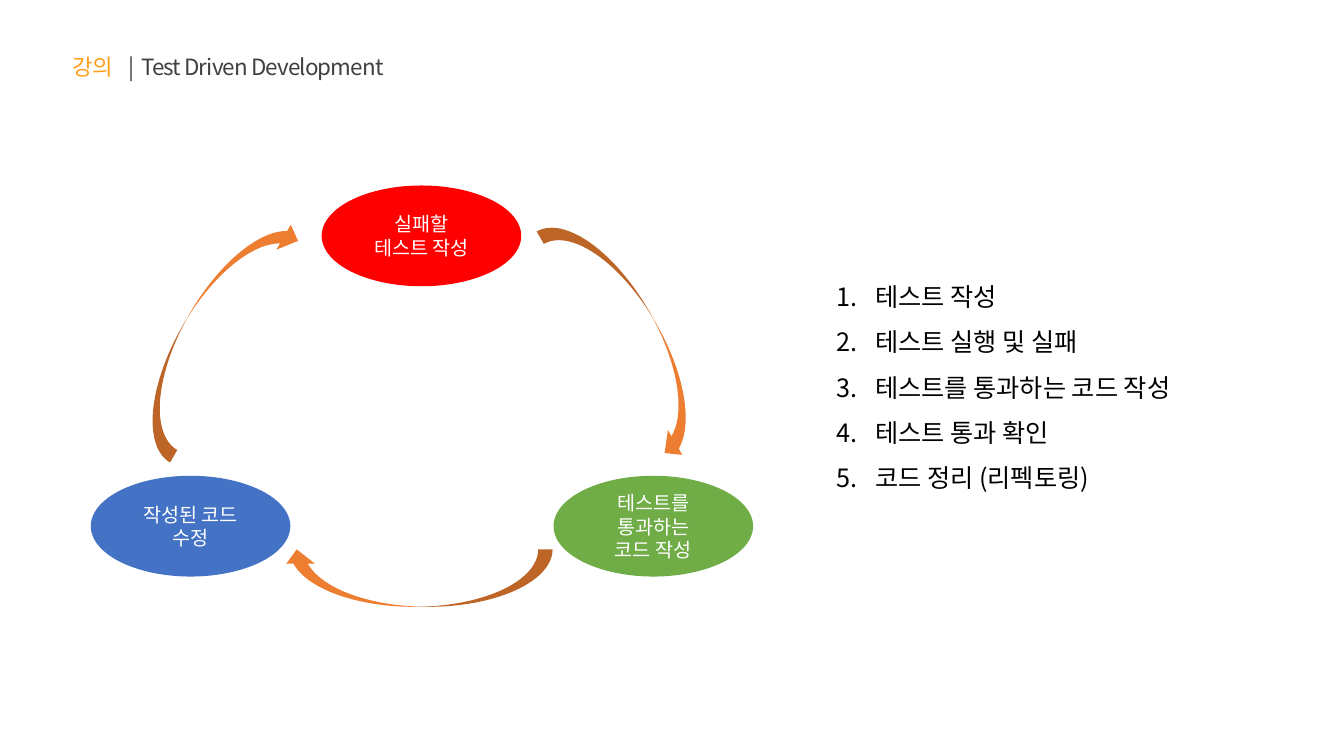
import pptx
import pptx.dml.color
import pptx.enum.shapes
import pptx.enum.text
import pptx.oxml.ns
import pptx.util
from lxml import etree

RGBColor = pptx.dml.color.RGBColor
Inches = pptx.util.Inches
Shape = pptx.enum.shapes.MSO_SHAPE
Align = pptx.enum.text.PP_ALIGN
Anchor = pptx.enum.text.MSO_ANCHOR
AutoSize = pptx.enum.text.MSO_AUTO_SIZE
qn = pptx.oxml.ns.qn

AMBER = RGBColor(0xFF, 0x9E, 0x1B)
CHARCOAL = RGBColor(0x40, 0x40, 0x40)
RED = RGBColor(0xFF, 0x00, 0x00)
GREEN = RGBColor(0x70, 0xAD, 0x47)
BLUE = RGBColor(0x44, 0x72, 0xC4)
ORANGE = RGBColor(0xED, 0x7D, 0x31)
WHITE = RGBColor(0xFF, 0xFF, 0xFF)
BLACK = RGBColor(0x00, 0x00, 0x00)

FONT = "Noto Sans CJK KR"
SLIDE_WIDTH = Inches(13.33)
SLIDE_HEIGHT = Inches(7.5)

STAGE_SIZE = (14.85, 13.33)
ARROW_SIZE = (20.11, 7.6)
STAGES = [
    ((31.36, 31.2), RED, ["실패할", "테스트 작성"]),
    ((48.61, 69.6), GREEN, ["테스트를", "통과하는", "코드 작성"]),
    ((14.18, 69.6), BLUE, ["작성된 코드 수정"]),
]
ARROW_CENTRES = [(46.81, 44.2), (31.06, 76.47), (15.83, 43.8)]
STEPS = [
    "테스트 작성",
    "테스트 실행 및 실패",
    "테스트를 통과하는 코드 작성",
    "테스트 통과 확인",
    "코드 정리 (리펙토링)",
]


def area(centre, size):
    width = round(SLIDE_WIDTH * size[0] / 100)
    height = round(SLIDE_HEIGHT * size[1] / 100)
    left = round(SLIDE_WIDTH * centre[0] / 100 - width / 2)
    top = round(SLIDE_HEIGHT * centre[1] / 100 - height / 2)
    return left, top, width, height


def add_span(para, text, size, color):
    span = para.add_run()
    span.text = text
    span.font.name = FONT
    span.font.size = pptx.util.Pt(size)
    span.font.color.rgb = color
    properties = span.font._element
    etree.SubElement(properties, qn("a:ea"), typeface=FONT)
    return properties


def add_paras(frame, lines):
    for index, line in enumerate(lines):
        yield (frame.add_paragraph() if index else frame.paragraphs[0]), line


def add_heading(page):
    title = page.shapes.title
    title.left, title.top, title.width, title.height = area((23.97, 8.87), (38.63, 4.93))
    frame = title.text_frame
    frame.word_wrap = True
    frame.auto_size = AutoSize.SHAPE_TO_FIT_TEXT
    frame.vertical_anchor = Anchor.TOP
    para = frame.paragraphs[0]
    para.alignment = Align.LEFT
    tabs = etree.SubElement(para._p.get_or_add_pPr(), qn("a:tabLst"))
    for position in (0.55, 0.68):
        etree.SubElement(tabs, qn("a:tab"), pos=str(Inches(position)), algn="l")
    for text, color in [("강의\t", AMBER), ("|\tTest Driven Development", CHARCOAL)]:
        add_span(para, text, 16, color).set("spc", "-60")


def add_filled_shape(page, kind, centre, size, color):
    shape = page.shapes.add_shape(kind, *area(centre, size))
    shape.shadow.inherit = False
    shape.fill.solid()
    shape.fill.fore_color.rgb = color
    shape.line.fill.background()
    return shape


def add_stage(page, centre, color, lines):
    stage = add_filled_shape(page, Shape.OVAL, centre, STAGE_SIZE, color)
    frame = stage.text_frame
    frame.word_wrap = True
    frame.vertical_anchor = Anchor.MIDDLE
    for para, line in add_paras(frame, lines):
        para.alignment = Align.CENTER
        add_span(para, line, 14, WHITE)


def add_steps(page):
    box = page.shapes.add_textbox(*area((76, 49.93), (28.96, 30.8)))
    frame = box.text_frame
    frame.word_wrap = True
    frame.auto_size = AutoSize.SHAPE_TO_FIT_TEXT
    for para, step in add_paras(frame, STEPS):
        para.line_spacing = 1.5
        properties = para._p.get_or_add_pPr()
        properties.set("marL", str(Inches(0.38)))
        properties.set("indent", str(Inches(-0.38)))
        etree.SubElement(properties, qn("a:buFont"), typeface="+mj-lt")
        etree.SubElement(properties, qn("a:buAutoNum"), type="arabicPeriod")
        add_span(para, step, 18, BLACK)


def main():
    deck = pptx.Presentation()
    deck.slide_width = SLIDE_WIDTH
    deck.slide_height = SLIDE_HEIGHT
    page = deck.slides.add_slide(deck.slide_layouts.get_by_name("Title Only"))
    add_heading(page)
    for centre, color, lines in STAGES:
        add_stage(page, centre, color, lines)
    for index, centre in enumerate(ARROW_CENTRES):
        arrow = add_filled_shape(page, Shape.CURVED_DOWN_ARROW, centre, ARROW_SIZE, ORANGE)
        arrow.rotation = 60 + 120 * index
    add_steps(page)
    deck.save("out.pptx")


if __name__ == "__main__":
    main()
